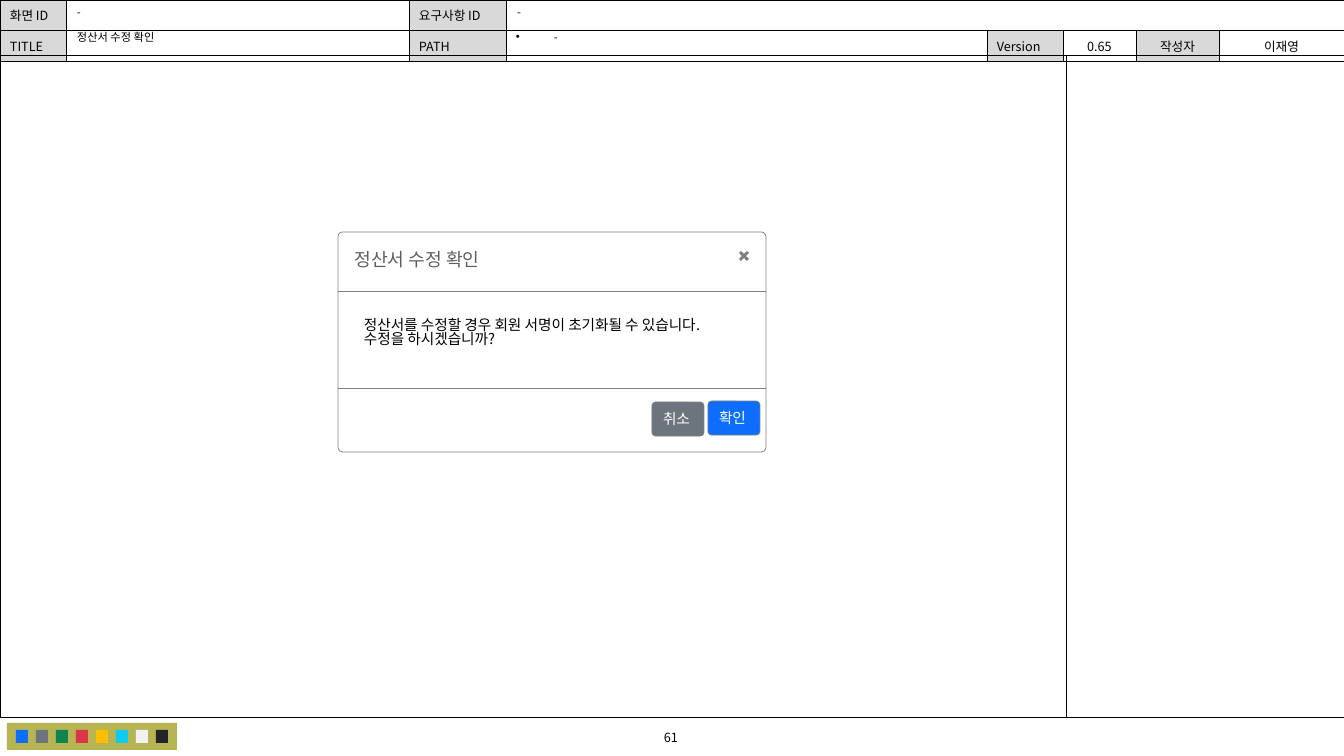
from dataclasses import dataclass

from lxml import etree
from pptx import Presentation
from pptx import util as u
from pptx.dml.color import RGBColor
from pptx.enum import shapes, text
from pptx.oxml import ns

PX = 914400 / 100.8  # EMU per px


@dataclass(frozen=True)
class Theme:
    sans: str = "Noto Sans CJK KR"
    ui: str = "Lato"
    ink: str = "000000"
    paper: str = "FFFFFF"
    label: str = "D9D9D9"
    border: str = "808080"
    heading: str = "5F5F5F"
    primary: str = "0D6EFD"
    secondary: str = "6C757D"
    palette_back: str = "B7B553"
    palette: tuple[str, ...] = ("0D6EFD", "6C757D", "10834E", "DC3545",
                                "FFBE00", "0DCAF0", "F2F2F2", "212529")
    value_pt: float = 8
    label_pt: float = 9
    message_pt: float = 10.5
    heading_pt: float = 13
    thin_pt: float = 0.25
    line_pt: float = 0.5


@dataclass(frozen=True)
class Box:
    x: int
    y: int
    w: int
    h: int


@dataclass(frozen=True)
class HeaderCell:
    row: int
    col: int
    words: str
    shaded: bool = True
    centred: bool = False


@dataclass(frozen=True)
class HeaderValue:
    placeholder: int
    words: str
    box: Box


@dataclass(frozen=True)
class Button:
    words: str
    box: Box
    fill: str


THEME = Theme()
COLUMNS = (66, 343, 97, 481, 76, 73, 83, 125)
ROW_HEIGHT = 28
HEADER_CELLS = (
    HeaderCell(0, 0, "화면 ID"),
    HeaderCell(0, 2, "요구사항 ID"),
    HeaderCell(1, 0, "TITLE"),
    HeaderCell(1, 2, "PATH"),
    HeaderCell(1, 4, "Version"),
    HeaderCell(1, 5, "0.65", shaded=False, centred=True),
    HeaderCell(1, 6, "작성자", centred=True),
    HeaderCell(1, 7, "이재영", shaded=False, centred=True),
)
HEADER_VALUES = (
    HeaderValue(3, "-", Box(507, 1, 836, 23)),
    HeaderValue(1, "-", Box(67, 1, 343, 23)),
    HeaderValue(0, "정산서 수정 확인", Box(67, 28, 341, 20)),
    HeaderValue(2, "-", Box(506, 26, 478, 23)),
)
DIALOG = Box(338, 232, 428, 220)
BUTTONS = (
    Button("확인", Box(708, 401, 52, 34), THEME.primary),
    Button("취소", Box(652, 402, 52, 34), THEME.secondary),
)
CLOSE_CENTRE = (744, 256)
CLOSE_OUTLINE = ((-3, -5), (-5, -3), (-2, 0), (-5, 3), (-3, 5), (0, 2),
                 (3, 5), (5, 3), (2, 0), (5, -3), (3, -5), (0, -2))


def px(length: int) -> u.Emu:
    return u.Emu(round(length * PX))


def emu(box: Box) -> tuple[u.Emu, ...]:
    return px(box.x), px(box.y), px(box.w), px(box.h)


def write(frame, words: str, size: float, color: str, font: str = THEME.sans,
          align=text.PP_ALIGN.LEFT, spacing: float = 1.0) -> None:
    frame.text = words
    for paragraph in frame.paragraphs:
        paragraph.alignment = align
        paragraph.line_spacing = spacing
        paragraph.space_before = u.Pt(0)
        for run in paragraph.runs:
            run.font.size, run.font.name, run.font.bold = u.Pt(size), font, False
            run.font.color.rgb = RGBColor.from_string(color)
            east_asian = etree.SubElement(run.font._element, ns.qn("a:ea"))
            east_asian.set("typeface", THEME.sans)


def set_frame(frame, insets: tuple[int, int, int, int], anchor, wrap: bool = True) -> None:
    frame.auto_size = text.MSO_AUTO_SIZE.NONE
    frame.word_wrap, frame.vertical_anchor = wrap, anchor
    (frame.margin_left, frame.margin_top,
     frame.margin_right, frame.margin_bottom) = map(px, insets)


def paint(shape, fill: str | None, line: str | None = None, width: float = THEME.line_pt) -> None:
    shape.shadow.inherit = False
    if fill:
        shape.fill.solid()
        shape.fill.fore_color.rgb = RGBColor.from_string(fill)
    else:
        shape.fill.background()
    if line:
        shape.line.color.rgb = RGBColor.from_string(line)
        shape.line.width = u.Pt(width)
    else:
        shape.line.fill.background()


def add_box(slide, box: Box, fill: str | None, line: str | None = None,
            width: float = THEME.line_pt, radius: float | None = None):
    kind = shapes.MSO_SHAPE.RECTANGLE if radius is None else shapes.MSO_SHAPE.ROUNDED_RECTANGLE
    shape = slide.shapes.add_shape(kind, *emu(box))
    if radius is not None:
        shape.adjustments[0] = radius
    paint(shape, fill, line, width)
    return shape


def add_line(slide, start: tuple[int, int], end: tuple[int, int], color: str) -> None:
    line = slide.shapes.add_connector(shapes.MSO_CONNECTOR.STRAIGHT, *map(px, start + end))
    line.line.color.rgb = RGBColor.from_string(color)
    line.line.width = u.Pt(THEME.line_pt)
    etree.SubElement(line._element.spPr, ns.qn("a:effectLst"))


def set_borders(cell) -> None:
    properties = cell._tc.get_or_add_tcPr()
    for place, side in enumerate(("lnL", "lnR", "lnT", "lnB")):
        border = etree.Element(ns.qn(f"a:{side}"), w=str(u.Pt(THEME.line_pt)))
        fill = etree.SubElement(border, ns.qn("a:solidFill"))
        etree.SubElement(fill, ns.qn("a:srgbClr"), val=THEME.ink)
        properties.insert(place, border)


def add_header(slide) -> None:
    frame = Box(0, 0, sum(COLUMNS), 2 * ROW_HEIGHT)
    table = slide.shapes.add_table(2, len(COLUMNS), *emu(frame)).table
    table.first_row = table.horz_banding = False
    for column, width in zip(table.columns, COLUMNS):
        column.width = px(width)
    contents = {(item.row, item.col): item for item in HEADER_CELLS}
    for row in range(2):
        table.rows[row].height = px(ROW_HEIGHT)
        for col in range(len(COLUMNS)):
            cell, item = table.cell(row, col), contents.get((row, col))
            cell.fill.solid()
            shade = THEME.label if item and item.shaded else THEME.paper
            cell.fill.fore_color.rgb = RGBColor.from_string(shade)
            set_borders(cell)
            cell.vertical_anchor = text.MSO_ANCHOR.MIDDLE
            cell.margin_left = cell.margin_right = px(10)
            cell.margin_top = cell.margin_bottom = 0
            if item:
                align = text.PP_ALIGN.CENTER if item.centred else text.PP_ALIGN.LEFT
                write(cell.text_frame, item.words, THEME.label_pt, THEME.ink, align=align)
    table.cell(0, 3).merge(table.cell(0, len(COLUMNS) - 1))


def add_header_values(slide) -> None:
    holders = {holder.placeholder_format.idx: holder for holder in slide.placeholders}
    for value in HEADER_VALUES:
        holder = holders.pop(value.placeholder)
        holder.left, holder.top, holder.width, holder.height = emu(value.box)
        set_frame(holder.text_frame, (10, 0, 10, 0), text.MSO_ANCHOR.MIDDLE)
        holder.text_frame.text = value.words
        properties = holder.text_frame.paragraphs[0]._p.get_or_add_pPr()
        properties.set("marL", "0")
        properties.set("indent", "0")
        etree.SubElement(properties, ns.qn("a:buNone"))
        write(holder.text_frame, value.words, THEME.value_pt, THEME.ink, spacing=0.9)
        slide.shapes._spTree.append(holder._element)  # in front of the table
    for unused in holders.values():
        slide.shapes._spTree.remove(unused._element)


def add_dialog(slide) -> None:
    panel = add_box(slide, DIALOG, THEME.paper, THEME.border, radius=0.022)
    set_frame(panel.text_frame, (15, 15, 10, 5), text.MSO_ANCHOR.TOP)
    write(panel.text_frame, "정산서 수정 확인", THEME.heading_pt, THEME.heading, THEME.ui)
    for y in (291, 388):
        add_line(slide, (DIALOG.x, y), (DIALOG.x + DIALOG.w, y), THEME.border)

    outline = [(CLOSE_CENTRE[0] + dx, CLOSE_CENTRE[1] + dy) for dx, dy in CLOSE_OUTLINE]
    builder = slide.shapes.build_freeform(*outline[0], scale=PX)
    builder.add_line_segments(outline[1:], close=True)
    paint(builder.convert_to_shape(), THEME.border)

    message = slide.shapes.add_textbox(*emu(Box(354, 314, 397, 45))).text_frame
    set_frame(message, (10, 5, 10, 5), text.MSO_ANCHOR.TOP)
    write(message, "정산서를 수정할 경우 회원 서명이 초기화될 수 있습니다.\n수정을 하시겠습니까?",
          THEME.message_pt, THEME.ink, spacing=0.8)
    for button in BUTTONS:
        shape = add_box(slide, button.box, button.fill, THEME.border, radius=0.112)
        set_frame(shape.text_frame, (10, 7, 10, 7), text.MSO_ANCHOR.MIDDLE, wrap=False)
        write(shape.text_frame, button.words, THEME.message_pt, THEME.paper, THEME.ui)


def add_footer(slide) -> None:
    number = slide.shapes.add_textbox(*emu(Box(541, 725, 260, 25))).text_frame
    set_frame(number, (10, 0, 10, 0), text.MSO_ANCHOR.MIDDLE)
    write(number, "61", THEME.label_pt, THEME.ink, align=text.PP_ALIGN.CENTER)
    add_box(slide, Box(7, 723, 170, 27), THEME.palette_back)
    for place, color in enumerate(THEME.palette):
        add_box(slide, Box(16 + 20 * place, 730, 12, 13), color)


def main() -> None:
    deck = Presentation()
    deck.slide_width, deck.slide_height = px(1344), px(756)
    slide = deck.slides.add_slide(deck.slide_layouts.get_by_name("Comparison"))
    # Page frame
    add_header(slide)
    add_box(slide, Box(0, 55, 1344, 662), None, THEME.ink, THEME.thin_pt)
    add_line(slide, (1066, 56), (1066, 717), THEME.ink)
    add_footer(slide)
    # Content
    add_dialog(slide)
    add_header_values(slide)
    deck.save("out.pptx")


if __name__ == "__main__":
    main()
